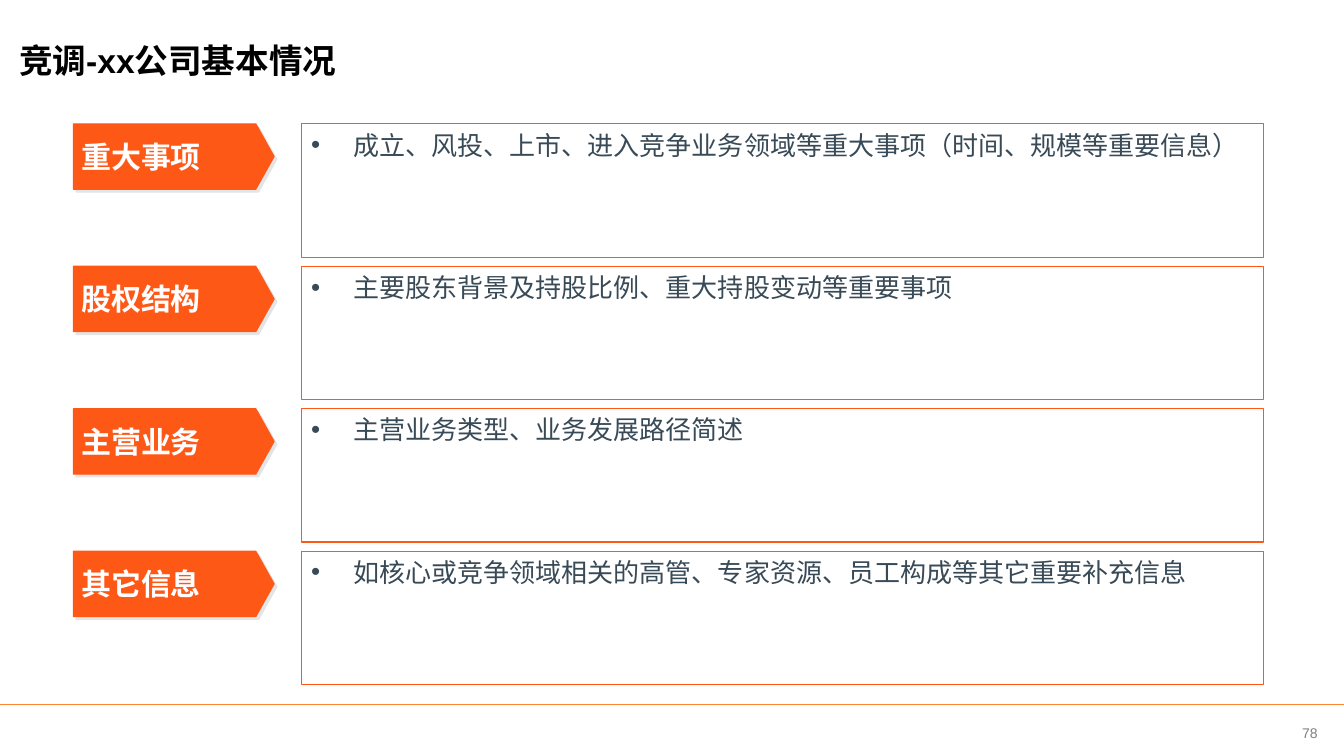
from lxml.etree import SubElement
from pptx import Presentation
from pptx.dml.color import RGBColor
from pptx.enum.shapes import MSO_CONNECTOR, MSO_SHAPE
from pptx.enum.text import MSO_ANCHOR, MSO_AUTO_SIZE, PP_ALIGN
from pptx.oxml.ns import qn
from pptx.util import Cm, Pt

ORANGE = "FE5817"
SECTIONS = [
    ("重大事项", "成立、风投、上市、进入竞争业务领域等重大事项（时间、规模等重要信息）"),
    ("股权结构", "主要股东背景及持股比例、重大持股变动等重要事项"),
    ("主营业务", "主营业务类型、业务发展路径简述"),
    ("其它信息", "如核心或竞争领域相关的高管、专家资源、员工构成等其它重要补充信息"),
]
TOP, PITCH = 3.12, 3.59


def colour(value):
    return RGBColor.from_string(value)


def assign(target, values):
    for name, value in values.items():
        setattr(target, name, value)


class CompanyPage:
    """Draws styled elements on the current slide."""

    latin = "Arial"
    asian = "Noto Sans CJK SC"

    def __init__(self, page):
        self.page = page

    def place(self, shape, left, top, width, height):
        assign(shape, dict(left=Cm(left), top=Cm(top), width=Cm(width), height=Cm(height)))

    def outline(self, shape, value, width):
        shape.line.color.rgb = colour(value)
        shape.line.width = Pt(width)

    def set_text(self, shape, text, size, value, bold=False, align=PP_ALIGN.LEFT,
                 anchor=MSO_ANCHOR.MIDDLE, margins=(0, 0, 0, 0)):
        left, top, right, bottom = map(Cm, margins)
        assign(shape.text_frame, dict(
            word_wrap=True, auto_size=MSO_AUTO_SIZE.NONE, vertical_anchor=anchor,
            margin_left=left, margin_top=top, margin_right=right, margin_bottom=bottom))
        para = shape.text_frame.paragraphs[0]
        assign(para, dict(alignment=align, space_before=Pt(0)))
        span = para.add_run()
        span.text = text
        assign(span.font, dict(size=Pt(size), bold=bold, name=self.latin))
        span.font.color.rgb = colour(value)
        SubElement(span.font._element, qn("a:ea"), typeface=self.asian)

    def title(self, text):
        shape = self.page.shapes.title
        self.place(shape, 0.48, 0.51, 30.38, 2)
        self.set_text(shape, text, 24, "000000", bold=True)

    def label(self, text, top):
        shape = self.page.shapes.add_shape(
            MSO_SHAPE.PENTAGON, Cm(1.85), Cm(top), Cm(5.06), Cm(1.65))
        shape.adjustments[0] = 0.28
        shape.fill.solid()
        shape.fill.fore_color.rgb = colour(ORANGE)
        self.outline(shape, ORANGE, 0.75)
        shape.shadow.inherit = False
        effects = shape._element.spPr.find(qn("a:effectLst"))
        shadow = SubElement(effects, qn("a:outerShdw"), dist=str(Pt(2.8)),
                            dir="2700000", algn="ctr", rotWithShape="0")
        SubElement(shadow, qn("a:srgbClr"), val="E3E4E6")
        self.set_text(shape, text, 21.4, "FFFFFF", bold=True, margins=(0.2, 0, 0, 0))

    def bullet_box(self, box, text, top):
        self.place(box, 7.59, top, 24.26, 3.36)
        box.fill.background()
        self.outline(box, ORANGE, 0.85)
        properties = box.text_frame.paragraphs[0]._p.get_or_add_pPr()
        properties.set("marL", str(Cm(1.07)))
        properties.set("indent", str(Cm(-1.07)))
        SubElement(properties, qn("a:buFont"), typeface=self.latin)
        SubElement(properties, qn("a:buChar"), char="•")
        self.set_text(box, text, 18.6, "394A57", anchor=MSO_ANCHOR.TOP,
                      margins=(0.25, 0.13, 0.25, 0.13))

    def footer(self, number):
        rule = self.page.shapes.add_connector(
            MSO_CONNECTOR.STRAIGHT, 0, Cm(17.75), Cm(33.87), Cm(17.75))
        self.outline(rule, "FE8637", 1)
        SubElement(rule._element.spPr, qn("a:effectLst"))
        box = self.page.shapes.add_textbox(Cm(32.16), Cm(17.88), Cm(1.7), Cm(1.17))
        self.set_text(box, number, 10, "808080", align=PP_ALIGN.CENTER)


def main():
    deck = Presentation()
    assign(deck, dict(slide_width=Cm(33.87), slide_height=Cm(19.05)))
    page = deck.slides.add_slide(deck.slide_layouts.get_by_name("Comparison"))
    company = CompanyPage(page)
    company.footer("78")
    company.title("竞调-xx公司基本情况")
    bodies = [box for box in page.placeholders if 1 <= box.placeholder_format.idx <= 4]
    for row, (box, (name, detail)) in enumerate(zip(bodies, SECTIONS)):
        top = TOP + row * PITCH
        company.label(name, top)
        company.bullet_box(box, detail, top)
    deck.save("out.pptx")


if __name__ == "__main__":
    main()
